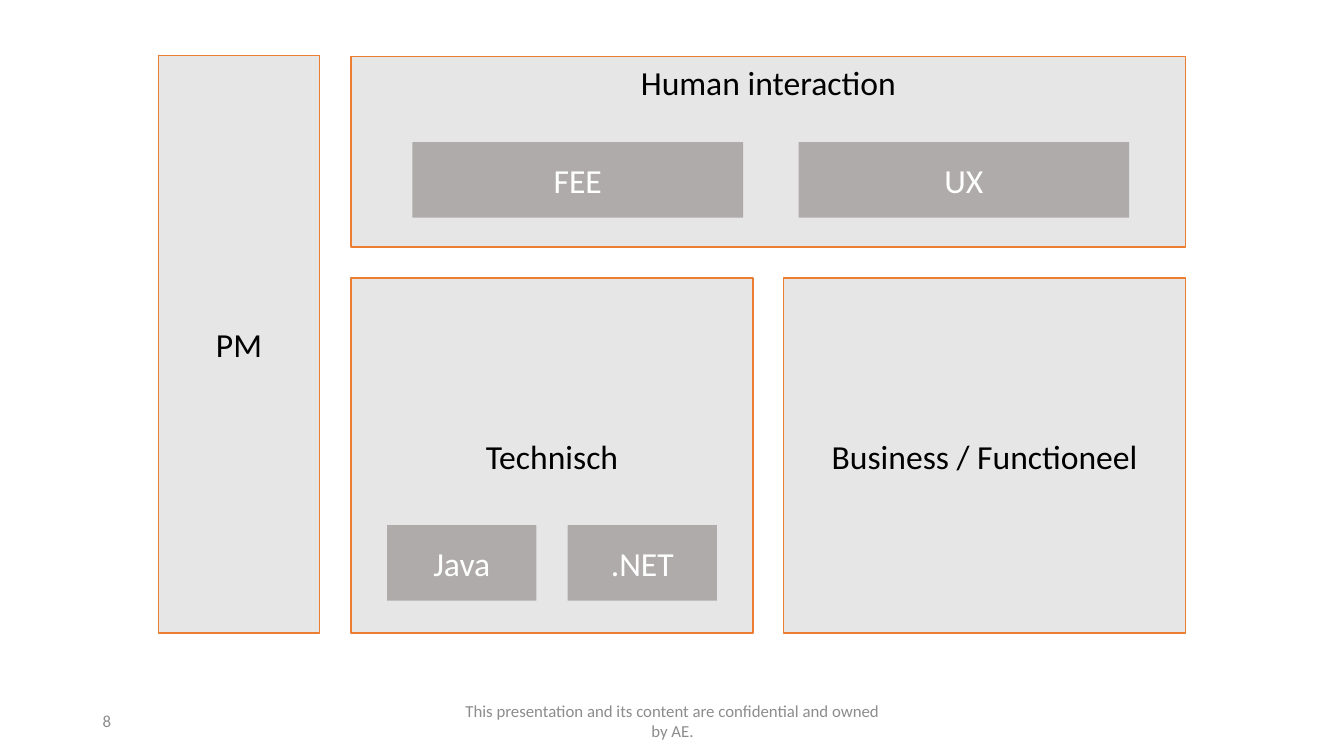
"""Build the team structure slide: role areas with their specialisms."""
from dataclasses import dataclass

from pptx import Presentation
from pptx.dml.color import RGBColor
from pptx.enum.shapes import MSO_SHAPE
from pptx.enum.text import MSO_ANCHOR, PP_ALIGN
from pptx.slide import Slide
from pptx.text.text import TextFrame
from pptx.util import Emu, Pt

EMU_PER_PX = 9144
FONT = "Calibri"
AREA_FILL, AREA_LINE, AREA_TEXT = "E7E6E6", "ED7D31", "000000"
SKILL_FILL, SKILL_TEXT = "AFABAB", "FFFFFF"
FOOTER_TEXT = "8C8C8C"

AREA_LEFT, AREA_TOP, AREA_WIDTH, AREA_HEIGHT = 348, 276, 399, 352
AREA_PITCH = 429
SKILL_HEIGHT = 75


@dataclass(frozen=True)
class Block:
    """A labelled rectangle; skills have no outline."""

    label: str
    left: int
    top: int
    width: int
    height: int
    is_skill: bool = False
    anchor: MSO_ANCHOR = MSO_ANCHOR.MIDDLE


@dataclass(frozen=True)
class Footer:
    """A small text in the footer band."""

    text: str
    left: int
    width: int
    align: PP_ALIGN


def skill_row(labels: list[str], left: int, top: int, width: int, pitch: int) -> list[Block]:
    """Return equally spaced skill blocks."""
    return [
        Block(label, left + index * pitch, top, width, SKILL_HEIGHT, is_skill=True)
        for index, label in enumerate(labels)
    ]


BLOCKS = [
    *(
        Block(label, AREA_LEFT + index * AREA_PITCH, AREA_TOP, AREA_WIDTH, AREA_HEIGHT)
        for index, label in enumerate(["Technisch", "Business / Functioneel"])
    ),
    Block("Human interaction", AREA_LEFT, 56, AREA_PITCH + AREA_WIDTH, 189, anchor=MSO_ANCHOR.TOP),
    *skill_row(["FEE", "UX"], 409, 141, 328, 383),
    Block("PM", 157, 55, 160, 573),
    *skill_row(["Java", ".NET"], 384, 521, 148, 179),
]
FOOTERS = [
    Footer("This presentation and its content are confidential and owned by AE.", 442, 450, PP_ALIGN.CENTER),
    Footer("8", 92, 300, PP_ALIGN.LEFT),
]


def px(length: int) -> Emu:
    """Convert px to EMU."""
    return Emu(length * EMU_PER_PX)


def color(value: str) -> RGBColor:
    """Convert a hex string to a colour."""
    return RGBColor.from_string(value)


def write_text(frame: TextFrame, text: str, size: int, text_color: str,
               align: PP_ALIGN, anchor: MSO_ANCHOR) -> None:
    """Fill a text frame with one styled paragraph."""
    frame.word_wrap = True
    frame.vertical_anchor = anchor
    para = frame.paragraphs[0]
    para.text = text
    para.alignment = align
    para.font.name = FONT
    para.font.size = Pt(size)
    para.font.color.rgb = color(text_color)


def draw_block(page: Slide, block: Block) -> None:
    """Draw an area or a skill."""
    box = page.shapes.add_shape(
        MSO_SHAPE.RECTANGLE, px(block.left), px(block.top), px(block.width), px(block.height)
    )
    box.shadow.inherit = False
    box.fill.solid()
    box.fill.fore_color.rgb = color(SKILL_FILL if block.is_skill else AREA_FILL)
    if block.is_skill:
        box.line.fill.background()
    else:
        box.line.color.rgb = color(AREA_LINE)
        box.line.width = Pt(1)
    text_color = SKILL_TEXT if block.is_skill else AREA_TEXT
    write_text(box.text_frame, block.label, 24, text_color, PP_ALIGN.CENTER, block.anchor)


def draw_footer(page: Slide, footer: Footer) -> None:
    """Draw one footer text."""
    box = page.shapes.add_textbox(px(footer.left), px(695), px(footer.width), px(40))
    write_text(box.text_frame, footer.text, 12, FOOTER_TEXT, footer.align, MSO_ANCHOR.MIDDLE)


def main() -> None:
    """Build and save the deck."""
    deck = Presentation()
    deck.slide_width, deck.slide_height = px(1333), px(750)
    page = deck.slides.add_slide(deck.slide_layouts[6])
    for footer in FOOTERS:
        draw_footer(page, footer)
    for block in BLOCKS:
        draw_block(page, block)
    deck.save("out.pptx")


if __name__ == "__main__":
    main()
